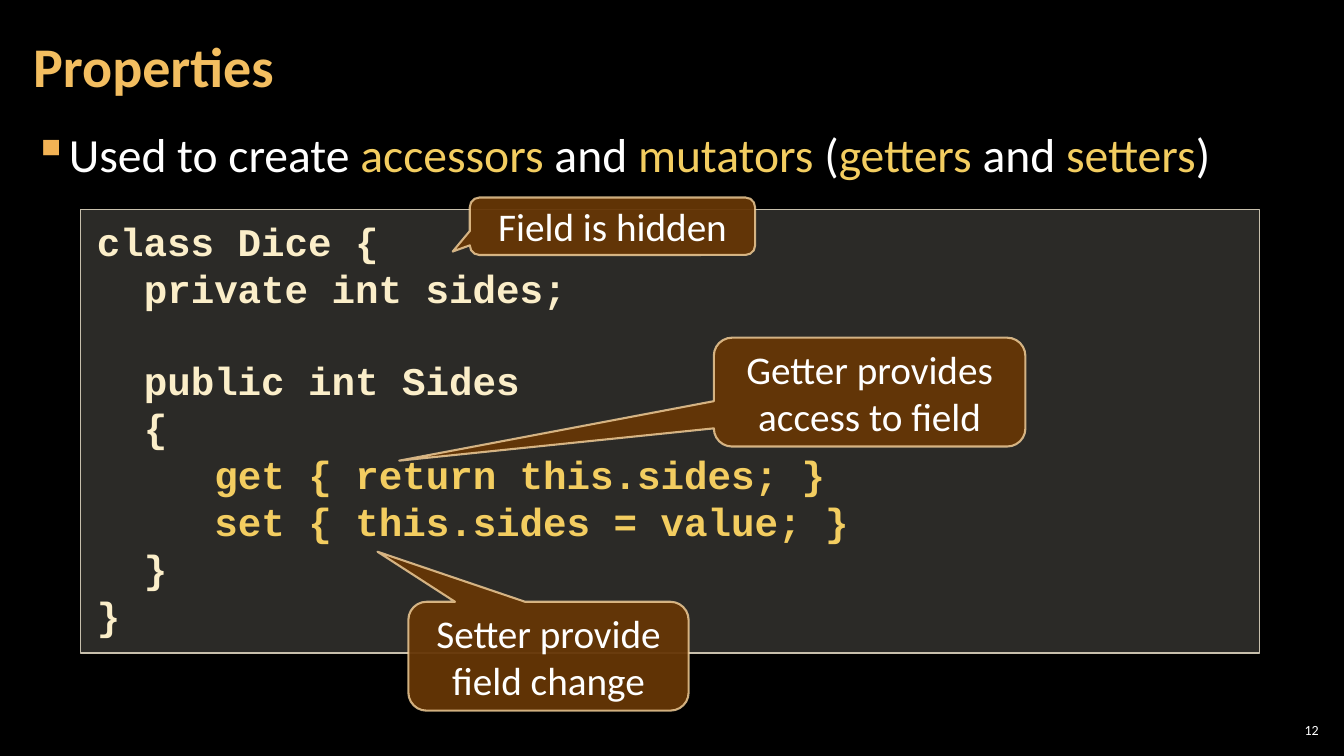
from dataclasses import dataclass

from lxml.etree import SubElement
from pptx import Presentation
from pptx.dml.color import RGBColor as Color
from pptx.enum.shapes import MSO_SHAPE as Preset
from pptx.enum.text import MSO_ANCHOR as Anchor, PP_ALIGN as Align
from pptx.oxml.ns import qn
from pptx.util import Inches, Pt


@dataclass(frozen=True)
class Theme:
    sans: str = "Calibri"
    mono: str = "Courier New"
    background: str = "000000"
    white: str = "FFFFFF"
    title: str = "F3BE60"
    bullet: str = "F2B254"
    accent: str = "F3CD60"
    code: str = "FBEEC9"
    panel: str = "D9D5C7"
    panel_line: str = "C7BFAC"
    callout: str = "663606"
    callout_line: str = "F8D49E"
    title_size: int = 40
    body_size: int = 34
    code_size: int = 28
    callout_size: int = 28
    number_size: int = 10


THEME = Theme()
CODE_COLUMN = 0.6 * THEME.code_size / 72
CODE_LINE = 1.13 * THEME.code_size

BULLET = [("Used to create ", False), ("accessors", True), (" and ", False),
          ("mutators", True), (" (", False), ("getters", True),
          (" and ", False), ("setters", True), (")", False)]

CODE = [(0, 0, "class Dice {", False),
        (2, 0, "private int sides;", False),
        (2, 1, "public int Sides", False),
        (2, 0, "{", False),
        (5, 0, "get { return this.sides; }", True),
        (5, 0, "set { this.sides = value; }", True),
        (2, 0, "}", False),
        (0, 0, "}", False)]

CALLOUTS = [("Field is hidden", (4.66, 1.96, 2.83, 0.57), (-0.56, 0.44)),
            ("Getter provides access to field", (7.08, 3.35, 3.09, 1.08), (-1.51, 0.63)),
            ("Setter provide field change", (4.05, 5.97, 2.78, 1.08), (-0.61, -0.96))]


def style(font, size, color, name=THEME.sans, bold=False):
    font.name = name
    font.size = Pt(size)
    font.bold = bold
    font.color.rgb = Color.from_string(color)


def set_frame(frame, anchor, side, top):
    frame.word_wrap = True
    frame.vertical_anchor = anchor
    frame.margin_left = frame.margin_right = Inches(side)
    frame.margin_top = frame.margin_bottom = Inches(top)


def set_alpha(shape, place, percent):
    for color in shape.element.spPr.xpath(f"./{place}a:solidFill/a:srgbClr"):
        SubElement(color, qn("a:alpha")).set("val", str(percent * 1000))


def add_panel(page, preset, box, fill, fill_alpha, line, width):
    shape = page.shapes.add_shape(preset, *map(Inches, box))
    shape.shadow.inherit = False
    shape.fill.solid()
    shape.fill.fore_color.rgb = Color.from_string(fill)
    shape.line.color.rgb = Color.from_string(line)
    shape.line.width = Pt(width)
    set_alpha(shape, "", fill_alpha)
    return shape


def add_line(page, box, text, size, color, side=0.12, bold=False, align=Align.LEFT):
    frame = page.shapes.add_textbox(*map(Inches, box)).text_frame
    set_frame(frame, Anchor.MIDDLE, side, 0.04)
    para = frame.paragraphs[0]
    para.text = text
    para.alignment = align
    style(para.font, size, color, bold=bold)


def add_bullet(page, box, parts):
    frame = page.shapes.add_textbox(*map(Inches, box)).text_frame
    set_frame(frame, Anchor.TOP, 0.12, 0.04)
    para = frame.paragraphs[0]
    para.line_spacing = 1.05
    para.space_before = para.space_after = Pt(6)
    props = para._p.get_or_add_pPr()
    props.set("marL", str(Inches(0.33)))
    props.set("indent", str(Inches(-0.33)))
    bullet_color = SubElement(props, qn("a:buClr"))
    SubElement(bullet_color, qn("a:srgbClr")).set("val", THEME.bullet)
    SubElement(props, qn("a:buChar")).set("char", "▪")
    for text, accented in parts:
        span = para.add_run()
        span.text = text
        style(span.font, THEME.body_size, THEME.accent if accented else THEME.white)


def add_code(page, box, lines):
    panel = add_panel(page, Preset.RECTANGLE, box, THEME.panel, 20, THEME.panel_line, 1)
    frame = panel.text_frame
    set_frame(frame, Anchor.TOP, 0.16, 0.08)
    for index, (column, gap, text, accented) in enumerate(lines):
        para = frame.add_paragraph() if index else frame.paragraphs[0]
        para.text = text
        para.alignment = Align.LEFT
        para.space_before = Pt(gap * CODE_LINE)
        para._p.get_or_add_pPr().set("marL", str(Inches(column * CODE_COLUMN)))
        color = THEME.accent if accented else THEME.code
        style(para.font, THEME.code_size, color, THEME.mono, True)


def add_callout(page, box, text, tip):
    callout = add_panel(page, Preset.ROUNDED_RECTANGULAR_CALLOUT, box,
                        THEME.callout, 95, THEME.callout_line, 1.5)
    set_alpha(callout, "a:ln/", 80)
    callout.adjustments[0], callout.adjustments[1] = tip
    set_frame(callout.text_frame, Anchor.MIDDLE, 0.1, 0.05)
    para = callout.text_frame.paragraphs[0]
    para.text = text
    para.alignment = Align.CENTER
    style(para.font, THEME.callout_size, THEME.white)


def add_properties_slide(deck):
    page = deck.slides.add_slide(deck.slide_layouts[6])
    page.background.fill.solid()
    page.background.fill.fore_color.rgb = Color.from_string(THEME.background)
    add_line(page, (12.65, 7.14, 0.47, 0.21), "12", THEME.number_size,
             THEME.white, side=0.04, align=Align.RIGHT)
    add_bullet(page, (0.21, 1.17, 12.91, 6.09), BULLET)
    add_line(page, (0.21, 0.04, 10.47, 1.21), "Properties", THEME.title_size,
             THEME.title, bold=True)
    add_code(page, (0.8, 2.08, 11.69, 4.4), CODE)
    for text, box, tip in CALLOUTS:
        add_callout(page, box, text, tip)


def main():
    deck = Presentation()
    deck.slide_width = Inches(13.33)
    deck.slide_height = Inches(7.5)
    add_properties_slide(deck)
    deck.save("out.pptx")


if __name__ == "__main__":
    main()
